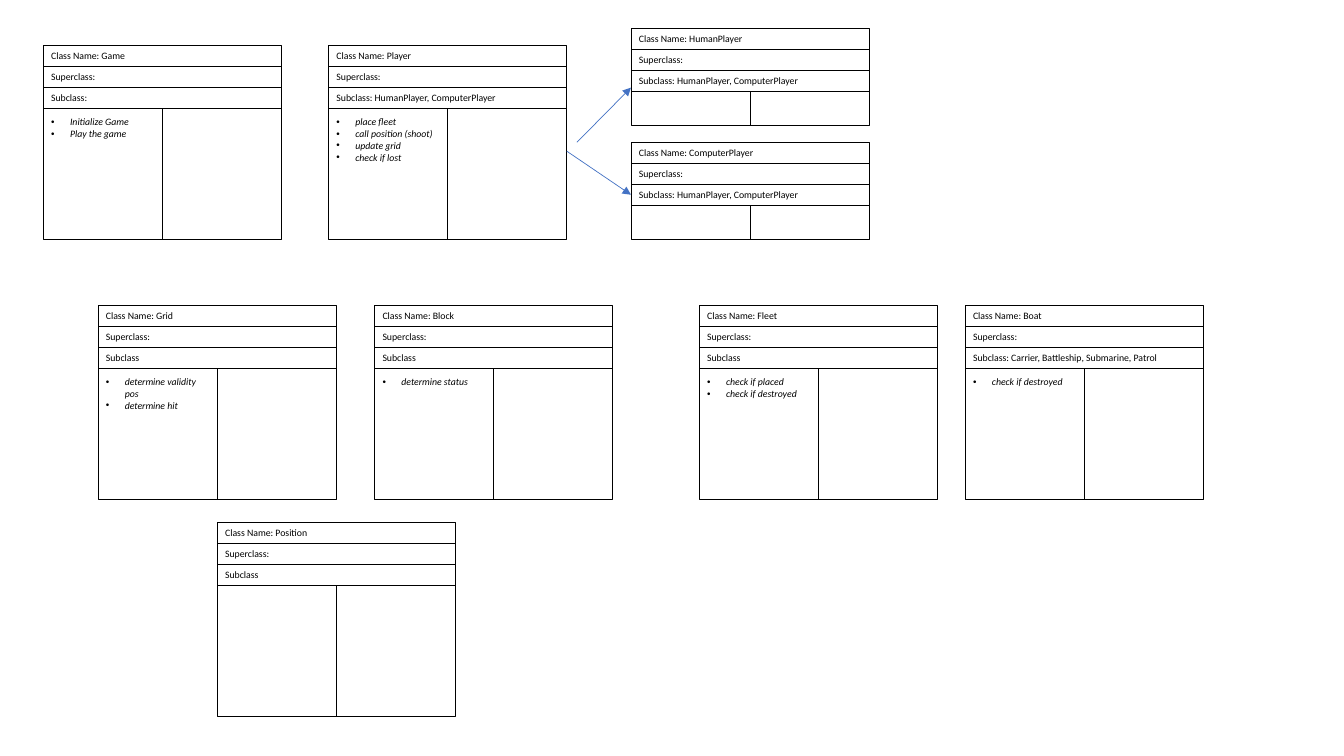
from dataclasses import dataclass

from lxml.etree import SubElement
from pptx import Presentation
from pptx.dml.color import RGBColor
from pptx.enum.shapes import MSO_CONNECTOR, MSO_SHAPE
from pptx.enum.text import MSO_ANCHOR, PP_ALIGN
from pptx.oxml.ns import qn
from pptx.util import Pt


@dataclass(frozen=True)
class Theme:
    """Colours, type and line sizes of the slide."""
    ink: RGBColor = RGBColor(0, 0, 0)
    arrow: RGBColor = RGBColor(0x44, 0x72, 0xC4)
    font: str = "Calibri"
    text_size: float = 7
    line_width: float = 0.5
    inset: float = 5.67
    bullet_indent: float = 13.5


THEME = Theme()
CARD_WIDTH = 170.2
ROW_HEIGHT = 15
TALL, SHORT = 93.8, 24.5  # heights of the lower compartments
PLAYERS = "Subclass: HumanPlayer, ComputerPlayer"

# name, left, top, compartment height, subclass row, responsibilities
CARDS = [
    ("Game", 30.9, 32.3, TALL, "Subclass:", ["Initialize Game", "Play the game"]),
    ("Player", 234.7, 32.3, TALL, PLAYERS,
     ["place fleet", "call position (shoot)", "update grid", "check if lost"]),
    ("HumanPlayer", 450.7, 20.2, SHORT, PLAYERS, []),
    ("ComputerPlayer", 450.7, 101.6, SHORT, PLAYERS, []),
    ("Grid", 70, 218, TALL, "Subclass", ["determine validity pos", "determine hit"]),
    ("Block", 267.6, 218, TALL, "Subclass", ["determine status"]),
    ("Fleet", 499.5, 218, TALL, "Subclass", ["check if placed", "check if destroyed"]),
    ("Boat", 689.4, 218, TALL, "Subclass: Carrier, Battleship, Submarine, Patrol",
     ["check if destroyed"]),
    ("Position", 155.2, 373, TALL, "Subclass", []),
]


def add_bullet(paragraph):
    """Give a paragraph a round bullet with a hanging indent."""
    properties = paragraph._p.get_or_add_pPr()
    properties.set("marL", str(Pt(THEME.bullet_indent)))
    properties.set("indent", str(-Pt(THEME.bullet_indent)))
    SubElement(properties, qn("a:buFont")).set("typeface", "Arial")
    SubElement(properties, qn("a:buChar")).set("char", "•")


def add_cell(card, left, top, width, height, lines=(), bulleted=False):
    """Add one outlined compartment, with a plain row or a bulleted list."""
    shape = card.shapes.add_shape(
        MSO_SHAPE.RECTANGLE, Pt(left), Pt(top), Pt(width), Pt(height))
    shape.shadow.inherit = False
    shape.fill.background()
    shape.line.color.rgb = THEME.ink
    shape.line.width = Pt(THEME.line_width)
    frame = shape.text_frame
    frame.word_wrap = True
    frame.vertical_anchor = MSO_ANCHOR.TOP if bulleted else MSO_ANCHOR.MIDDLE
    frame.margin_left = frame.margin_right = Pt(THEME.inset)
    frame.margin_top = frame.margin_bottom = Pt(THEME.inset if bulleted else 0)
    for index, line in enumerate(lines):
        paragraph = frame.add_paragraph() if index else frame.paragraphs[0]
        paragraph.text = line
        paragraph.alignment = PP_ALIGN.LEFT
        paragraph.font.name = THEME.font
        paragraph.font.size = Pt(THEME.text_size)
        paragraph.font.color.rgb = THEME.ink
        if bulleted:
            paragraph.font.italic = True
            add_bullet(paragraph)


def add_card(slide, name, left, top, body_height, subclass, responsibilities):
    """Add a class card: three rows above two compartments."""
    card = slide.shapes.add_group_shape()
    rows = [f"Class Name: {name}", "Superclass:", subclass]
    for index, text in enumerate(rows):
        add_cell(card, left, top + index * ROW_HEIGHT, CARD_WIDTH, ROW_HEIGHT, [text])
    body_top = top + len(rows) * ROW_HEIGHT
    half = CARD_WIDTH / 2
    add_cell(card, left, body_top, half, body_height, responsibilities, bulleted=True)
    add_cell(card, left + half, body_top, half, body_height)


def add_arrow(slide, start, end):
    """Add a straight arrow between two points."""
    connector = slide.shapes.add_connector(
        MSO_CONNECTOR.STRAIGHT, *(Pt(value) for value in (*start, *end)))
    connector.line.color.rgb = THEME.arrow
    connector.line.width = Pt(THEME.line_width)
    SubElement(connector.line._get_or_add_ln(), qn("a:tailEnd")).set("type", "triangle")
    SubElement(connector._element.spPr, qn("a:effectLst"))


def add_inheritance_arrows(slide, cards):
    """Point from the Player card to its two subclasses."""
    _, player_left, player_top, *_ = cards["Player"]
    _, human_left, human_top, *_ = cards["HumanPlayer"]
    _, computer_left, computer_top, *_ = cards["ComputerPlayer"]
    player_right = player_left + CARD_WIDTH
    add_arrow(slide, (player_right + 7.2, player_top + 69.4),
              (human_left, human_top + 42.4))
    add_arrow(slide, (player_right, player_top + 75.7),
              (computer_left, computer_top + 2.5 * ROW_HEIGHT))


def build_class_slide(presentation):
    """Build the slide of class cards."""
    slide = presentation.slides.add_slide(presentation.slide_layouts[6])
    for card in CARDS:
        add_card(slide, *card)
    add_inheritance_arrows(slide, {card[0]: card for card in CARDS})


presentation = Presentation()
presentation.slide_width, presentation.slide_height = Pt(960), Pt(540)
build_class_slide(presentation)
presentation.save("out.pptx")
